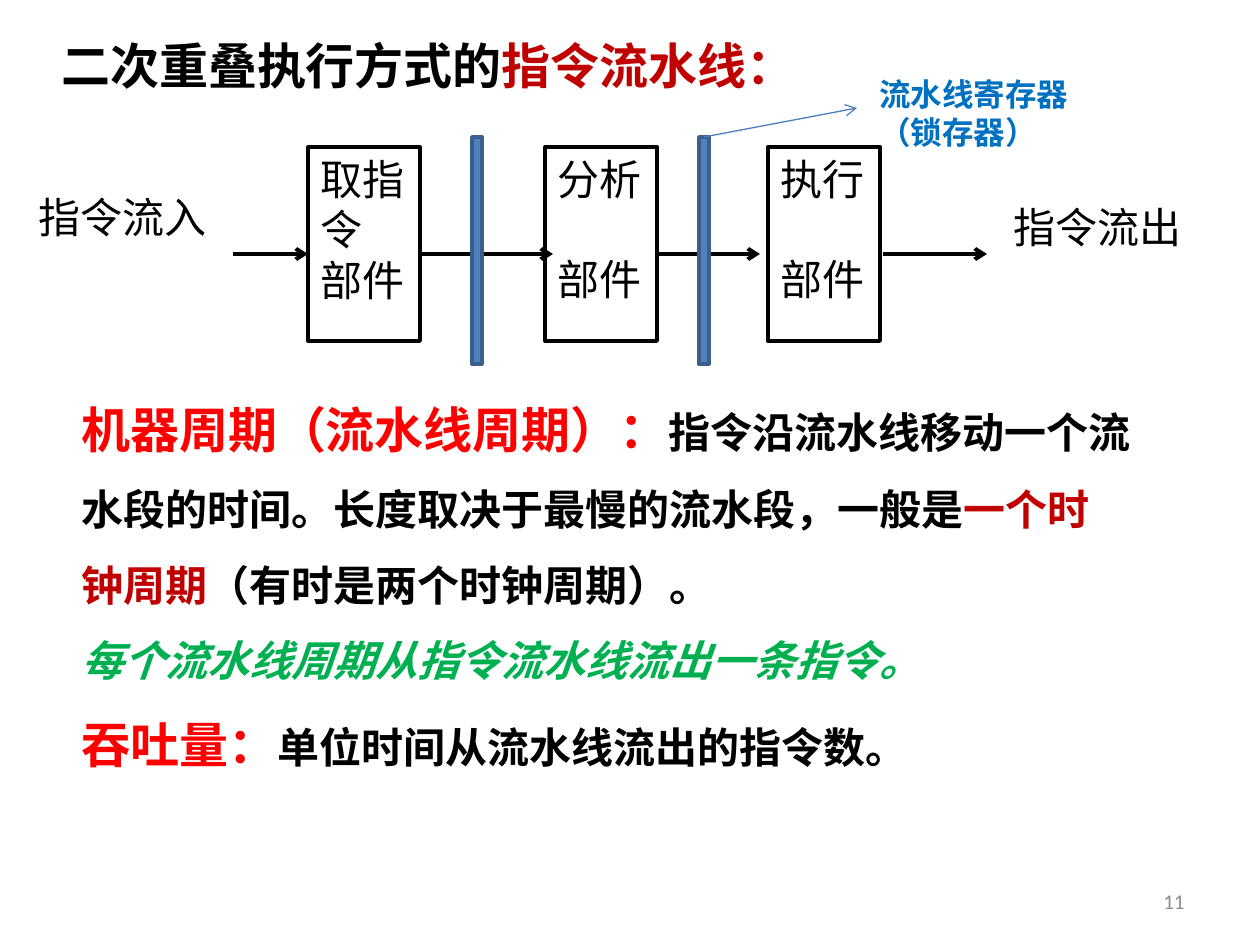
"""Build the slide on the two-overlap instruction pipeline."""
from dataclasses import dataclass

from lxml import etree
from pptx import Presentation
from pptx import util as u
from pptx.dml.color import RGBColor
from pptx.enum import shapes, text
from pptx.oxml.ns import qn

BLACK = RGBColor(0x00, 0x00, 0x00)
CRIMSON = RGBColor(0xC0, 0x00, 0x00)
RED = RGBColor(0xFF, 0x00, 0x00)
GREEN = RGBColor(0x00, 0xB0, 0x50)
BLUE = RGBColor(0x00, 0x70, 0xC0)
GRAY = RGBColor(0x8C, 0x8C, 0x8C)
LATCH_FILL = RGBColor(0x4F, 0x81, 0xBD)
LATCH_LINE = RGBColor(0x3A, 0x5F, 0x8C)
CALLOUT_LINE = RGBColor(0x4B, 0x7E, 0xBC)
FONT = "Calibri"
STAGE_TOP, STAGE_WIDTH, STAGE_HEIGHT = 147, 112, 194
LATCH_TOP, LATCH_WIDTH, LATCH_HEIGHT = 137, 10, 227
FLOW_Y = 254


@dataclass(frozen=True)
class Span:
    words: str
    color: RGBColor = BLACK
    size: int = 24
    bold: bool = False
    italic: bool = False


@dataclass(frozen=True)
class Stage:
    left: int
    lines: tuple[str, ...]
    gap: float = 0


@dataclass(frozen=True)
class Flow:
    start: int
    end: int


STAGES = (
    Stage(308, ("取指", "令", "部件")),
    Stage(545, ("分析", "部件"), gap=28.6),
    Stage(768, ("执行", "部件"), gap=28.6),
)
FLOWS = (Flow(421, 553), Flow(657, 760), Flow(883, 987), Flow(233, 308))
LATCH_LEFTS = (472, 699)


def px(length: int) -> u.Emu:
    """Turn px at 126 to the inch into EMU."""
    return u.Emu(round(length * 914400 / 126))


def write(frame, paragraphs, *, spacing=None, gap=0, align=text.PP_ALIGN.LEFT,
          anchor=text.MSO_ANCHOR.TOP) -> None:
    """Fill a text frame with paragraphs made of spans."""
    frame.word_wrap = True
    frame.vertical_anchor = anchor
    for index, spans in enumerate(paragraphs):
        paragraph = frame.add_paragraph() if index else frame.paragraphs[0]
        paragraph.alignment = align
        if spacing:
            paragraph.line_spacing = spacing
        if index and gap:
            paragraph.space_before = u.Pt(gap)
        for span in spans:
            run = paragraph.add_run()
            run.text = span.words
            run.font.name = FONT
            run.font.size = u.Pt(span.size)
            run.font.bold = span.bold
            run.font.italic = span.italic
            run.font.color.rgb = span.color


def add_text(slide, left: int, top: int, width: int, height: int, *paragraphs, **layout) -> None:
    """Add a text box."""
    box = slide.shapes.add_textbox(px(left), px(top), px(width), px(height))
    write(box.text_frame, paragraphs, **layout)


def add_block(slide, left: int, top: int, width: int, height: int, *, line: RGBColor,
              weight: float, fill: RGBColor | None = None):
    """Add an outlined rectangle."""
    block = slide.shapes.add_shape(
        shapes.MSO_SHAPE.RECTANGLE, px(left), px(top), px(width), px(height))
    block.shadow.inherit = False
    if fill is None:
        block.fill.background()
    else:
        block.fill.solid()
        block.fill.fore_color.rgb = fill
    block.line.color.rgb = line
    block.line.width = u.Pt(weight)
    return block


def add_arrow(slide, start: tuple[int, int], end: tuple[int, int], *, color: RGBColor = BLACK,
              weight: float = 2.25):
    """Add a straight line with an open arrowhead at its end."""
    arrow = slide.shapes.add_connector(
        shapes.MSO_CONNECTOR.STRAIGHT, *map(px, start), *map(px, end))
    arrow.line.color.rgb = color
    arrow.line.width = u.Pt(weight)
    etree.SubElement(arrow.line._get_or_add_ln(), qn("a:tailEnd"), type="arrow")
    etree.SubElement(arrow._element.spPr, qn("a:effectLst"))
    return arrow


def add_stage(slide, stage: Stage) -> None:
    """Add one pipeline stage with its label."""
    block = add_block(slide, stage.left, STAGE_TOP, STAGE_WIDTH, STAGE_HEIGHT,
                      line=BLACK, weight=2.25)
    write(block.text_frame, [(Span(line),) for line in stage.lines], gap=stage.gap)


def main() -> None:
    """Draw the slide and save it."""
    deck = Presentation()
    deck.slide_width, deck.slide_height = px(1260), px(945)
    slide = deck.slides.add_slide(deck.slide_layouts[6])

    for flow in FLOWS:
        add_arrow(slide, (flow.start, FLOW_Y), (flow.end, FLOW_Y))
    add_text(slide, 26, 185, 266, 63, (Span("指令流入"),))
    for stage in STAGES:
        add_stage(slide, stage)
    add_text(slide, 1001, 195, 236, 91, (Span("指令流出"),))

    add_text(slide, 49, 29, 816, 72, (
        Span("二次重叠执行方式的", size=28, bold=True),
        Span("指令流水线：", CRIMSON, 28, True),
    ))
    add_text(
        slide, 69, 364, 1074, 420,
        (
            Span("机器周期（流水线周期）：", RED, 28, True),
            Span("指令沿流水线移动一个流水段的时间。长度取决于最慢的流水段，一般是", bold=True),
            Span("一个时钟周期", CRIMSON, bold=True),
            Span("（有时是两个时钟周期）。", bold=True),
        ),
        (Span("每个流水线周期从指令流水线流出一条指令。", GREEN, bold=True, italic=True),),
        (
            Span("吞吐量：", RED, 28, True),
            Span("单位时间从流水线流出的指令数。", bold=True),
        ),
        spacing=1.5,
    )

    latches = [
        add_block(slide, left, LATCH_TOP, LATCH_WIDTH, LATCH_HEIGHT,
                  line=LATCH_LINE, weight=2, fill=LATCH_FILL)
        for left in LATCH_LEFTS
    ]
    callout = add_arrow(slide, (704, LATCH_TOP), (857, 108), color=CALLOUT_LINE, weight=0.75)
    callout.begin_connect(latches[-1], 0)
    add_text(slide, 867, 69, 256, 89,
             (Span("流水线寄存器", BLUE, 18, True),),
             (Span("（锁存器）", BLUE, 18, True),))
    add_text(slide, 903, 876, 294, 50, (Span("11", GRAY, 12),),
             align=text.PP_ALIGN.RIGHT, anchor=text.MSO_ANCHOR.MIDDLE)
    deck.save("out.pptx")


if __name__ == "__main__":
    main()
